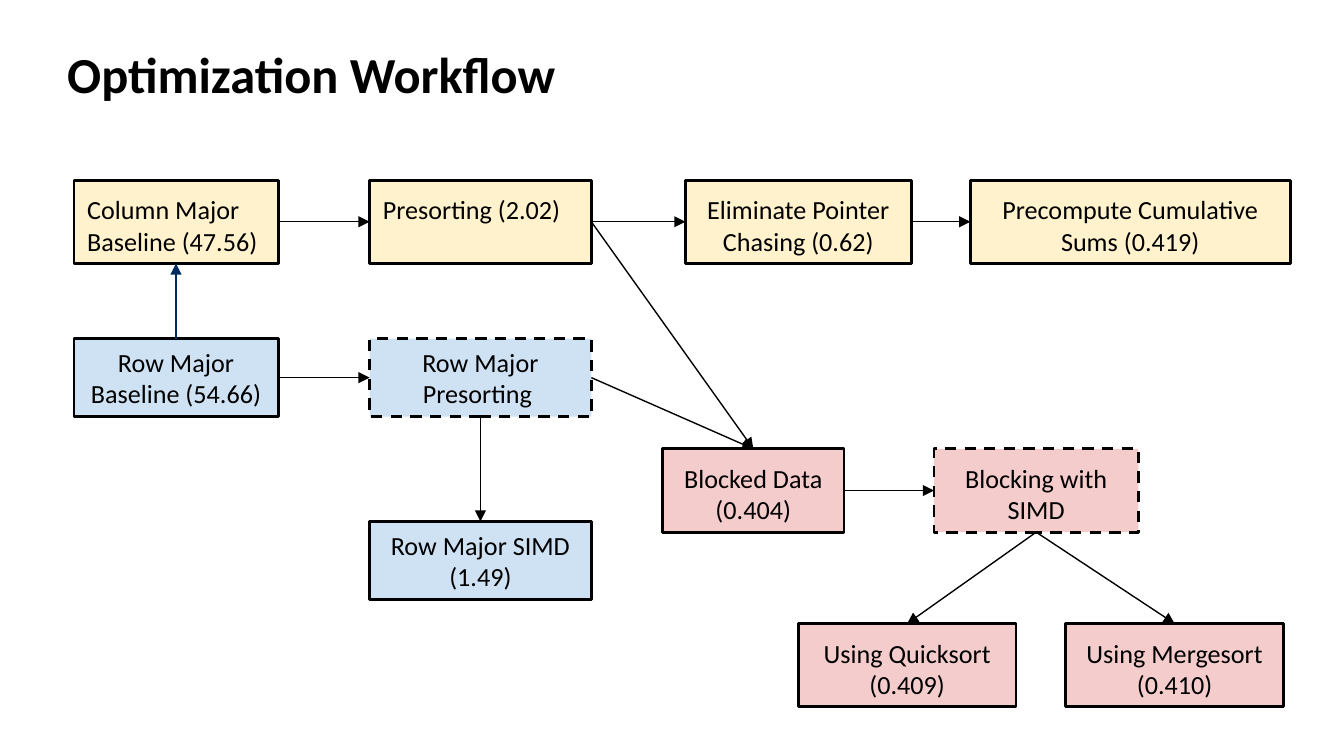
"""Builds the optimization workflow slide."""
from dataclasses import dataclass

from lxml import etree
from pptx import Presentation
from pptx.dml.color import RGBColor
from pptx.enum.dml import MSO_LINE
from pptx.enum.shapes import MSO_CONNECTOR, MSO_SHAPE
from pptx.enum.text import MSO_ANCHOR, MSO_AUTO_SIZE, PP_ALIGN
from pptx.oxml.ns import qn
from pptx.shapes.autoshape import Shape
from pptx.slide import Slide
from pptx.text.text import Font
from pptx.util import Inches, Pt

STRAIGHT = MSO_CONNECTOR.STRAIGHT
RECTANGLE = MSO_SHAPE.RECTANGLE
DASH = MSO_LINE.DASH
TOP, MIDDLE = MSO_ANCHOR.TOP, MSO_ANCHOR.MIDDLE
LEFT, CENTER = PP_ALIGN.LEFT, PP_ALIGN.CENTER
TOP_SIDE, LEFT_SIDE, BOTTOM_SIDE, RIGHT_SIDE = range(4)

SLIDE_WIDTH = Inches(10)
SLIDE_HEIGHT = SLIDE_WIDTH * 9 // 16
FONT = "Calibri"
BLACK, NAVY = "000000", "002B5F"
YELLOW, BLUE, PINK = "FFF2CC", "CFE2F3", "F4CCCC"
INSET = Inches(0.1)

COLUMNS = {
    "baseline": (0.55, 1.52),
    "presort": (2.75, 1.65),
    "pointer": (5.1, 1.68),
    "sums": (7.22, 2.38),
    "blocked": (4.93, 1.35),
    "blocking": (6.95, 1.52),
    "quicksort": (5.94, 1.62),
    "mergesort": (7.93, 1.62),
}
ROWS = {
    "column major": (1.34, 0.62),
    "row major": (2.52, 0.58),
    "blocks": (3.34, 0.62),
    "row simd": (3.88, 0.58),
    "sorts": (4.64, 0.62),
}


@dataclass
class Step:
    name: str
    text: str
    column: str
    row: str
    fill: str
    dashed: bool = False
    align: PP_ALIGN = CENTER
    anchor: MSO_ANCHOR = TOP


@dataclass
class Arrow:
    start: str
    start_side: int
    end: str
    end_side: int
    color: str = BLACK


STEPS = [
    Step("row baseline", "Row Major Baseline (54.66)", "baseline", "row major", BLUE, anchor=MIDDLE),
    Step("row presorting", "Row Major Presorting ", "presort", "row major", BLUE, dashed=True, anchor=MIDDLE),
    Step("column baseline", "Column Major Baseline (47.56)", "baseline", "column major", YELLOW, align=LEFT),
    Step("presorting", "Presorting (2.02)", "presort", "column major", YELLOW, align=LEFT),
    Step("pointer", "Eliminate Pointer Chasing (0.62)", "pointer", "column major", YELLOW),
    Step("sums", "Precompute Cumulative Sums (0.419)", "sums", "column major", YELLOW),
    Step("mergesort", "Using Mergesort (0.410)", "mergesort", "sorts", PINK),
    Step("quicksort", "Using Quicksort (0.409)", "quicksort", "sorts", PINK),
    Step("blocking", "Blocking with SIMD", "blocking", "blocks", PINK, dashed=True),
    Step("blocked", "Blocked Data (0.404)", "blocked", "blocks", PINK),
    Step("row simd", "Row Major SIMD (1.49)", "presort", "row simd", BLUE, anchor=MIDDLE),
]
ARROWS = [
    Arrow("row baseline", RIGHT_SIDE, "row presorting", LEFT_SIDE),
    Arrow("column baseline", RIGHT_SIDE, "presorting", LEFT_SIDE),
    Arrow("presorting", RIGHT_SIDE, "pointer", LEFT_SIDE),
    Arrow("pointer", RIGHT_SIDE, "sums", LEFT_SIDE),
    Arrow("presorting", RIGHT_SIDE, "blocked", TOP_SIDE),
    Arrow("blocked", RIGHT_SIDE, "blocking", LEFT_SIDE),
    Arrow("blocking", BOTTOM_SIDE, "quicksort", TOP_SIDE),
    Arrow("blocking", BOTTOM_SIDE, "mergesort", TOP_SIDE),
    Arrow("row presorting", RIGHT_SIDE, "blocked", TOP_SIDE),
    Arrow("row presorting", BOTTOM_SIDE, "row simd", TOP_SIDE),
    Arrow("row baseline", TOP_SIDE, "column baseline", BOTTOM_SIDE, NAVY),
]


def rgb(color: str) -> RGBColor:
    return RGBColor.from_string(color)


def set_font(font: Font, size: float, bold: bool = False) -> None:
    font.name = FONT
    font.size = Pt(size)
    font.bold = bold
    font.color.rgb = rgb(BLACK)


def draw_title(slide: Slide, text: str) -> None:
    title = slide.shapes.title
    title.left, title.top = Inches(0.4), Inches(0.22)
    title.width, title.height = Inches(9.19), Inches(0.62)
    frame = title.text_frame
    frame.text = text
    frame.auto_size = MSO_AUTO_SIZE.NONE
    frame.vertical_anchor = TOP
    frame.margin_left = frame.margin_right = frame.margin_top = INSET
    frame.margin_bottom = Inches(0.05)
    paragraph = frame.paragraphs[0]
    paragraph.alignment = LEFT
    set_font(paragraph.font, 27, bold=True)


def draw_step(slide: Slide, step: Step) -> Shape:
    left, width = COLUMNS[step.column]
    top, height = ROWS[step.row]
    shape = slide.shapes.add_shape(RECTANGLE, Inches(left), Inches(top), Inches(width), Inches(height))
    shape.shadow.inherit = False
    shape.fill.solid()
    shape.fill.fore_color.rgb = rgb(step.fill)
    shape.line.color.rgb = rgb(BLACK)
    shape.line.width = Pt(1.5)
    if step.dashed:
        shape.line.dash_style = DASH
    frame = shape.text_frame
    frame.text = step.text
    frame.word_wrap = True
    frame.vertical_anchor = step.anchor
    frame.margin_left = frame.margin_right = frame.margin_top = frame.margin_bottom = INSET
    paragraph = frame.paragraphs[0]
    paragraph.alignment = step.align
    set_font(paragraph.font, 14)
    return shape


def draw_arrow(slide: Slide, arrow: Arrow, shapes: dict[str, Shape]) -> None:
    connector = slide.shapes.add_connector(STRAIGHT, 0, 0, 0, 0)
    connector.begin_connect(shapes[arrow.start], arrow.start_side)
    connector.end_connect(shapes[arrow.end], arrow.end_side)
    connector.line.color.rgb = rgb(arrow.color)
    connector.line.width = Pt(0.75)
    properties = connector.element.spPr
    etree.SubElement(properties.find(qn("a:ln")), qn("a:tailEnd"), type="triangle")
    etree.SubElement(properties, qn("a:effectLst"))


def main() -> None:
    presentation = Presentation()
    presentation.slide_width, presentation.slide_height = SLIDE_WIDTH, SLIDE_HEIGHT
    slide = presentation.slides.add_slide(presentation.slide_layouts.get_by_name("Title Only"))
    draw_title(slide, "Optimization Workflow")
    shapes = {step.name: draw_step(slide, step) for step in STEPS}
    for arrow in ARROWS:
        draw_arrow(slide, arrow, shapes)
    presentation.save("out.pptx")


if __name__ == "__main__":
    main()
